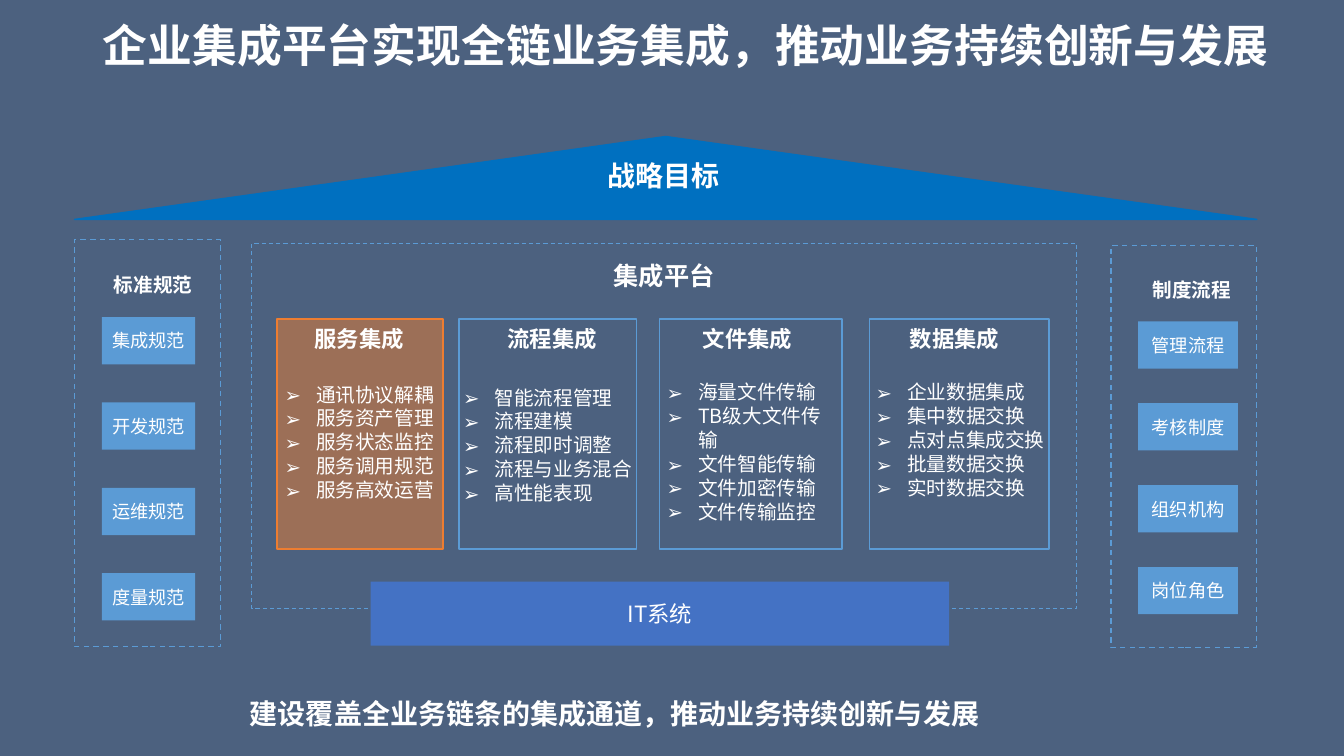
from lxml.etree import SubElement
from pptx import Presentation
from pptx.dml.color import RGBColor
from pptx.enum.dml import MSO_LINE
from pptx.enum.shapes import MSO_SHAPE
from pptx.enum.text import MSO_ANCHOR, PP_ALIGN
from pptx.oxml.ns import qn
from pptx.util import Pt

EMU_PER_PX = 9525
FONT = "Noto Sans CJK SC"
WHITE, NAVY, BLUE, ROYAL, SKY, ORANGE = (
    "FFFFFF", "001F4A", "0070C0", "4472C4", "5B9BD5", "ED7D31")


def px(length):
    return round(length * EMU_PER_PX)


def rgb(code):
    return RGBColor.from_string(code)


def apply_format(target, values):
    for name, value in values.items():
        setattr(target, name, value)


class HouseSlide:
    def __init__(self, width, height):
        self.deck = Presentation()
        apply_format(self.deck, {"slide_width": px(width), "slide_height": px(height)})
        self.slide = self.deck.slides.add_slide(self.deck.slide_layouts[6])

    def fill_text(self, frame, lines, size, bold=False, align=PP_ALIGN.CENTER,
                  anchor=MSO_ANCHOR.MIDDLE, margins=(0, 0), spacing=None, bullet=None):
        side, top = map(px, margins)
        apply_format(frame, {
            "word_wrap": True, "vertical_anchor": anchor,
            "margin_left": side, "margin_right": side,
            "margin_top": top, "margin_bottom": 0})
        for index, line in enumerate(lines):
            paragraph = frame.add_paragraph() if index else frame.paragraphs[0]
            apply_format(paragraph, {"alignment": align, "line_spacing": spacing})
            if bullet:
                properties = paragraph._p.get_or_add_pPr()
                properties.set("marL", str(px(30)))
                properties.set("indent", str(px(-30)))
                SubElement(properties, qn("a:buFont"), typeface=FONT)
                SubElement(properties, qn("a:buChar"), char=bullet)
            run = paragraph.add_run()
            run.text = line
            apply_format(run.font, {"size": Pt(size), "bold": bold, "name": FONT})
            run.font.color.rgb = rgb(WHITE)
            SubElement(run._r.get_or_add_rPr(), qn("a:ea"), typeface=FONT)

    def box(self, x, y, width, height, fill=None, opacity=100, line=None,
            line_width=1, dashed=False, kind=MSO_SHAPE.RECTANGLE):
        shape = self.slide.shapes.add_shape(kind, px(x), px(y), px(width), px(height))
        shape.shadow.inherit = False
        if fill:
            shape.fill.solid()
            shape.fill.fore_color.rgb = rgb(fill)
            if opacity < 100:
                color = shape._element.spPr.find(qn("a:solidFill"))[0]
                SubElement(color, qn("a:alpha"), val=str(opacity * 1000))
        else:
            shape.fill.background()
        if line:
            shape.line.color.rgb = rgb(line)
            shape.line.width = Pt(line_width)
            if dashed:
                shape.line.dash_style = MSO_LINE.DASH
        else:
            shape.line.fill.background()
        return shape.text_frame

    def label(self, x, y, width, height, lines, size, **style):
        area = self.slide.shapes.add_textbox(px(x), px(y), px(width), px(height))
        self.fill_text(area.text_frame, lines, size, **style)

    def heading(self, center_x, center_y, text, size):
        self.label(center_x - 65, center_y - 20, 130, 40, [text], size, bold=True)

    def pillar(self, frame, title_center, title, chips, first_y, pitch, chip_x, chip_width):
        self.box(*frame, line=SKY, dashed=True)
        self.heading(*title_center, title, 14)
        for index, chip in enumerate(chips):
            body = self.box(chip_x, first_y + index * pitch, chip_width, 45, fill=SKY)
            self.fill_text(body, [chip], 13)

    def capability(self, x, width, title, title_x, items, items_x, items_y,
                   line=SKY, fill=None):
        self.box(x, 304, width, 219, fill=fill, opacity=50, line=line)
        self.heading(title_x, 322, title, 16)
        self.label(items_x, items_y, 184, 123, items, 14, align=PP_ALIGN.LEFT,
                   anchor=MSO_ANCHOR.TOP, margins=(10, 5), spacing=Pt(17), bullet="➢")


def main():
    house = HouseSlide(1280, 720)
    house.box(0, 0, 1280, 720, fill=NAVY, opacity=70)
    house.label(88, 12, 1192, 67, ["企业集成平台实现全链业务集成，推动业务持续创新与发展"],
                32, bold=True, align=PP_ALIGN.LEFT, margins=(10, 0), spacing=0.9)

    house.pillar((71, 228, 139, 388), (146, 271), "标准规范",
                 ["集成规范", "开发规范", "运维规范", "度量规范"], 302, 81.3, 97, 89)
    house.pillar((1058, 234, 139, 383), (1135, 276), "制度流程",
                 ["管理流程", "考核制度", "组织机构", "岗位角色"], 306, 78, 1084, 95)

    platform = house.box(240, 232, 785, 348, line=SKY, line_width=0.75, dashed=True)
    house.fill_text(platform, ["集成平台"], 18, bold=True,
                    anchor=MSO_ANCHOR.TOP, margins=(0, 16))
    systems = house.box(353, 554, 551, 61, fill=ROYAL)
    house.fill_text(systems, ["IT系统"], 16)

    house.box(71, 130, 1126, 79, fill=BLUE, line=BLUE, kind=MSO_SHAPE.ISOSCELES_TRIANGLE)
    house.heading(632, 167, "战略目标", 20)

    house.capability(264, 158, "服务集成", 342,
                     ["通讯协议解耦", "服务资产管理", "服务状态监控", "服务调用规范", "服务高效运营"],
                     261, 359, line=ORANGE, fill=ORANGE)
    house.capability(437, 169, "流程集成", 526,
                     ["智能流程管理", "流程建模", "流程即时调整", "流程与业务混合", "高性能表现"],
                     431, 362)
    house.capability(628, 174, "文件集成", 712,
                     ["海量文件传输", "TB级大文件传输", "文件智能传输", "文件加密传输", "文件传输监控"],
                     625, 357)
    house.capability(828, 171, "数据集成", 909,
                     ["企业数据集成", "集中数据交换", "点对点集成交换", "批量数据交换", "实时数据交换"],
                     824, 357)

    house.label(228, 648, 797, 62, ["建设覆盖全业务链条的集成通道，推动业务持续创新与发展"],
                20, bold=True, align=PP_ALIGN.LEFT, margins=(10, 0))
    house.deck.save("out.pptx")


if __name__ == "__main__":
    main()
